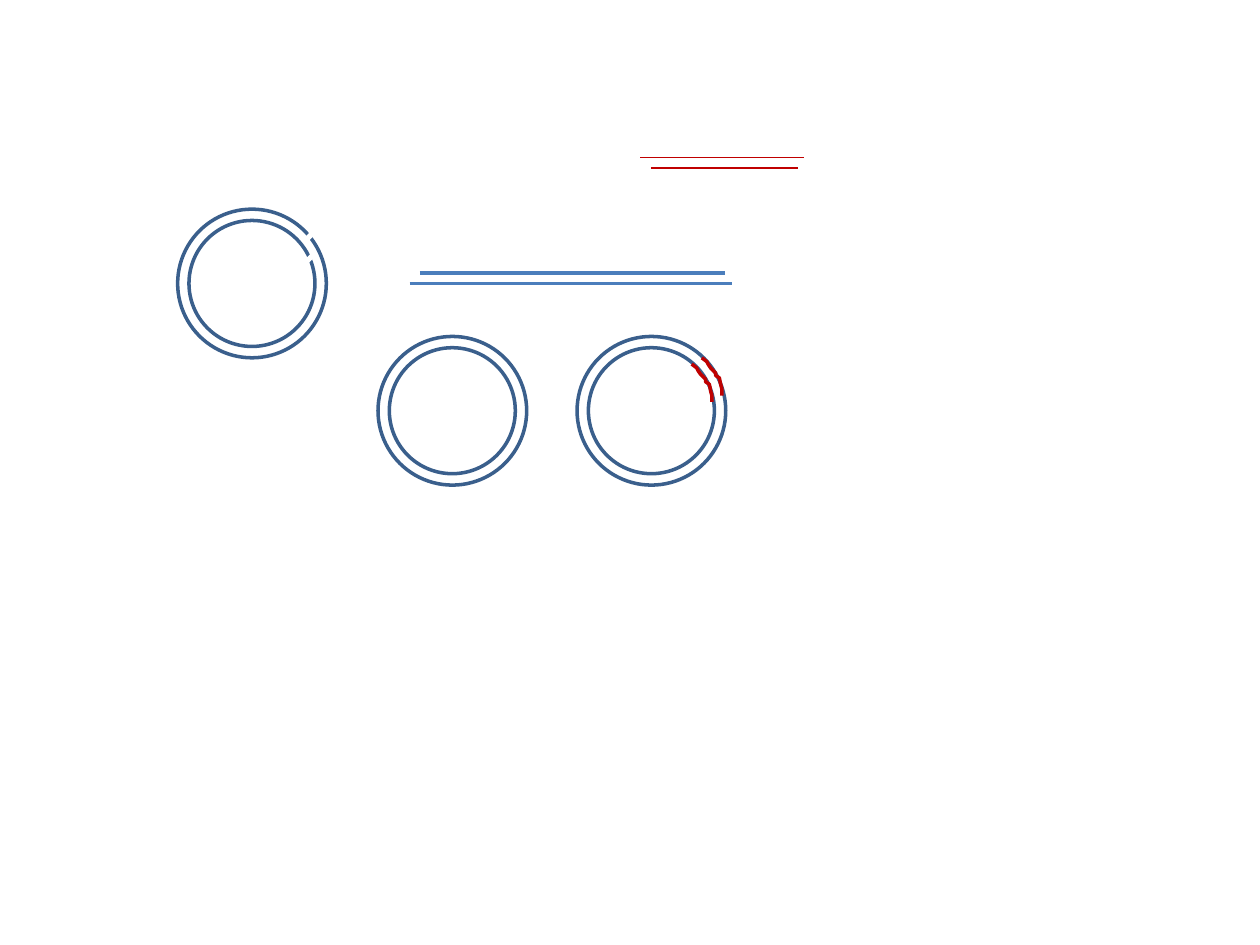
from lxml import etree
from pptx import Presentation
from pptx.dml.color import RGBColor
from pptx.enum.shapes import MSO_CONNECTOR, MSO_SHAPE
from pptx.oxml.ns import qn
from pptx.util import Inches, Pt

OVAL = MSO_SHAPE.OVAL
STRAIGHT = MSO_CONNECTOR.STRAIGHT
NAVY = RGBColor(0x3A, 0x5F, 0x8C)
BLUE = RGBColor(0x4B, 0x7E, 0xBC)
RED = RGBColor(0xC0, 0x00, 0x00)
WHITE = RGBColor(0xFF, 0xFF, 0xFF)

SLIDE_W, SLIDE_H = Inches(10), Inches(7.5)
CELL = SLIDE_W / 120
INNER, OUTER = 6, 7.08
INSERT_CURVE = [(0, 0), (0.48, 0.36), (0.6, 0.6), (0.84, 0.96), (1.32, 1.44),
                (1.32, 1.68), (1.68, 1.92), (1.8, 2.52), (1.92, 3), (1.92, 3.6)]


def grid(*cells):
    """Turn grid cells into slide lengths."""
    return [round(c * CELL) for c in cells]


def style_line(sp, color, width):
    """Set the colour and width of an outline."""
    sp.line.color.rgb = color
    sp.line.width = Pt(width)


def add_line(s, x1, y1, x2, y2, color, width):
    """Draw a straight line between two grid points."""
    sp = s.shapes.add_connector(STRAIGHT, *grid(x1, y1, x2, y2))
    style_line(sp, color, width)
    etree.SubElement(sp._element.spPr, qn("a:effectLst"))


def add_plasmid(s, cx, cy):
    """Draw a double-stranded ring around its centre."""
    for radius in (INNER, OUTER):
        sp = s.shapes.add_shape(
            OVAL, *grid(cx - radius, cy - radius, 2 * radius, 2 * radius))
        sp.shadow.inherit = False
        sp.fill.background()
        style_line(sp, NAVY, 2)


def add_cut_plasmid(s, cx, cy):
    """Draw a ring with a cut across each strand."""
    add_plasmid(s, cx, cy)
    for dy in (-5, -2.9):
        add_line(s, cx + 6, cy + dy, cx + 5, cy + dy + 1, WHITE, 3)


def add_recombinant_plasmid(s, cx, cy):
    """Draw a ring with the insert lying on both strands."""
    add_plasmid(s, cx, cy)
    for dx, dy in ((3.84, -4.44), (4.8, -5.04)):
        points = [grid(cx + dx + x, cy + dy + y) for x, y in INSERT_CURVE]
        fb = s.shapes.build_freeform(*points[0])
        fb.add_line_segments(points[1:], close=False)
        sp = fb.convert_to_shape()
        sp.shadow.inherit = False
        sp.fill.background()
        style_line(sp, RED, 2)


def add_duplex(s, y, strands, color, width):
    """Draw two linear strands one row apart."""
    for row, (left, right) in enumerate(strands):
        add_line(s, left, y + row, right, y + row, color, width)


def main():
    """Build and save the cloning slide."""
    prs = Presentation()
    prs.slide_width, prs.slide_height = SLIDE_W, SLIDE_H
    s = prs.slides.add_slide(prs.slide_layouts[6])
    add_cut_plasmid(s, 24, 27)
    add_duplex(s, 15, [(61, 76.56), (62, 76)], RED, 0.75)
    add_duplex(s, 26, [(40, 69), (39, 69.72)], BLUE, 2)
    add_plasmid(s, 43.08, 39.12)
    add_recombinant_plasmid(s, 62.04, 39.12)
    prs.save("out.pptx")


if __name__ == "__main__":
    main()
